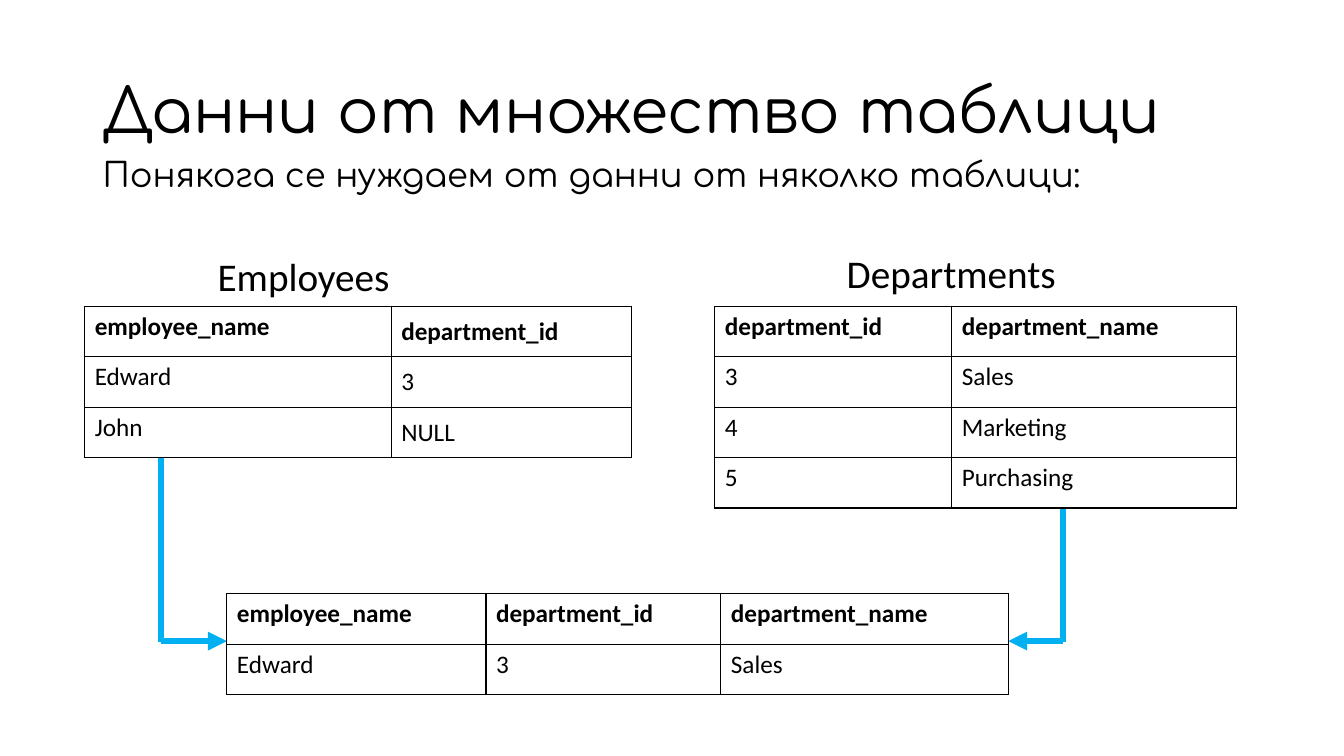
from dataclasses import dataclass

from lxml import etree
from pptx import Presentation
from pptx import util as u
from pptx.dml.color import RGBColor
from pptx.enum import shapes, text
from pptx.oxml import ns

PX = 9144
ROW = 50


@dataclass(frozen=True)
class Theme:
    ink: str = "000000"
    arrow: str = "00B0F0"
    heading_font: str = "Comfortaa"
    table_font: str = "Calibri"
    title_size: int = 44
    subtitle_size: int = 24
    label_size: int = 28
    cell_size: int = 18
    border_width: int = 1
    arrow_width: float = 4.5


THEME = Theme()


def px(*lengths):
    return [u.Emu(length * PX) for length in lengths]


def write(frame, words, font, size, bold=False):
    para = frame.paragraphs[0]
    span = para.add_run()
    span.text = words
    for name, value in {"name": font, "size": u.Pt(size), "bold": bold}.items():
        setattr(span.font, name, value)
    span.font.color.rgb = RGBColor.from_string(THEME.ink)
    return para


def add_text(page, box, words, font, size, **formats):
    frame = page.shapes.add_textbox(*px(*box)).text_frame
    frame.word_wrap = True
    for name, value in formats.items():
        setattr(frame, name, value)
    return write(frame, words, font, size)


def add_header(page, left, top, width):
    title = add_text(page, (left, top, width, 145), "Данни от множество таблици",
                     THEME.heading_font, THEME.title_size,
                     vertical_anchor=text.MSO_ANCHOR.MIDDLE)
    title.line_spacing = 0.9
    add_text(page, (left, top + 108, width, 57),
             "Понякога се нуждаем от данни от няколко таблици:",
             THEME.heading_font, THEME.subtitle_size)


def add_borders(cell):
    properties = cell._tc.get_or_add_tcPr()
    for position, side in enumerate(("lnL", "lnR", "lnT", "lnB")):
        border = etree.Element(ns.qn(f"a:{side}"), w=str(u.Pt(THEME.border_width)))
        fill = etree.SubElement(border, ns.qn("a:solidFill"))
        etree.SubElement(fill, ns.qn("a:srgbClr"), val=THEME.ink)
        properties.insert(position, border)


def add_grid(page, left, top, widths, rows, middle_columns=()):
    box = px(left, top, sum(widths), ROW * len(rows))
    table = page.shapes.add_table(len(rows), len(widths), *box).table
    table.first_row = table.horz_banding = False
    for column, width in zip(table.columns, px(*widths)):
        column.width = width
    for row_index, row in enumerate(rows):
        for column_index, words in enumerate(row):
            cell = table.cell(row_index, column_index)
            cell.fill.background()
            if column_index in middle_columns:
                cell.vertical_anchor = text.MSO_ANCHOR.MIDDLE
            add_borders(cell)
            write(cell.text_frame, words, THEME.table_font, THEME.cell_size,
                  bold=row_index == 0)


def add_label(page, box, words):
    add_text(page, box, words, THEME.table_font, THEME.label_size,
             word_wrap=False, auto_size=text.MSO_AUTO_SIZE.SHAPE_TO_FIT_TEXT)


def add_line(page, start, end, arrowhead=False):
    line = page.shapes.add_connector(shapes.MSO_CONNECTOR.STRAIGHT, *px(*start, *end))
    line.line.color.rgb = RGBColor.from_string(THEME.arrow)
    line.line.width = u.Pt(THEME.arrow_width)
    if arrowhead:
        etree.SubElement(line.line._get_or_add_ln(), ns.qn("a:tailEnd"), type="triangle")
    etree.SubElement(line._element.spPr, ns.qn("a:effectLst"))


def add_elbow(page, left, top, tip_left, tip_top):
    add_line(page, (left, top), (left, tip_top + 1))
    add_line(page, (left, tip_top), (tip_left, tip_top), arrowhead=True)


def add_employees(page, left, top):
    add_grid(page, left, top, (304, 238), [
        ("employee_name", "department_id"),
        ("Edward", "3"),
        ("John", "NULL"),
    ], middle_columns=(1,))
    add_label(page, (left + 122, top - 59, 192, 57), "Employees")


def add_departments(page, left, top):
    add_grid(page, left, top, (235, 282), [
        ("department_id", "department_name"),
        ("3", "Sales"),
        ("4", "Marketing"),
        ("5", "Purchasing"),
    ])
    add_label(page, (left + 121, top - 62, 230, 57), "Departments")


def add_joined(page, left, top):
    add_grid(page, left, top, (257, 233, 285), [
        ("employee_name", "department_id", "department_name"),
        ("Edward", "3", "Sales"),
    ])


def main():
    deck = Presentation()
    deck.slide_width, deck.slide_height = px(1333, 750)
    page = deck.slides.add_slide(deck.slide_layouts[6])
    add_elbow(page, 1054, 504, 1000, 636)
    add_elbow(page, 160, 454, 225, 636)
    add_header(page, 92, 40, 1150)
    add_employees(page, 84, 304)
    add_departments(page, 709, 304)
    add_joined(page, 225, 589)
    deck.save("out.pptx")


if __name__ == "__main__":
    main()
